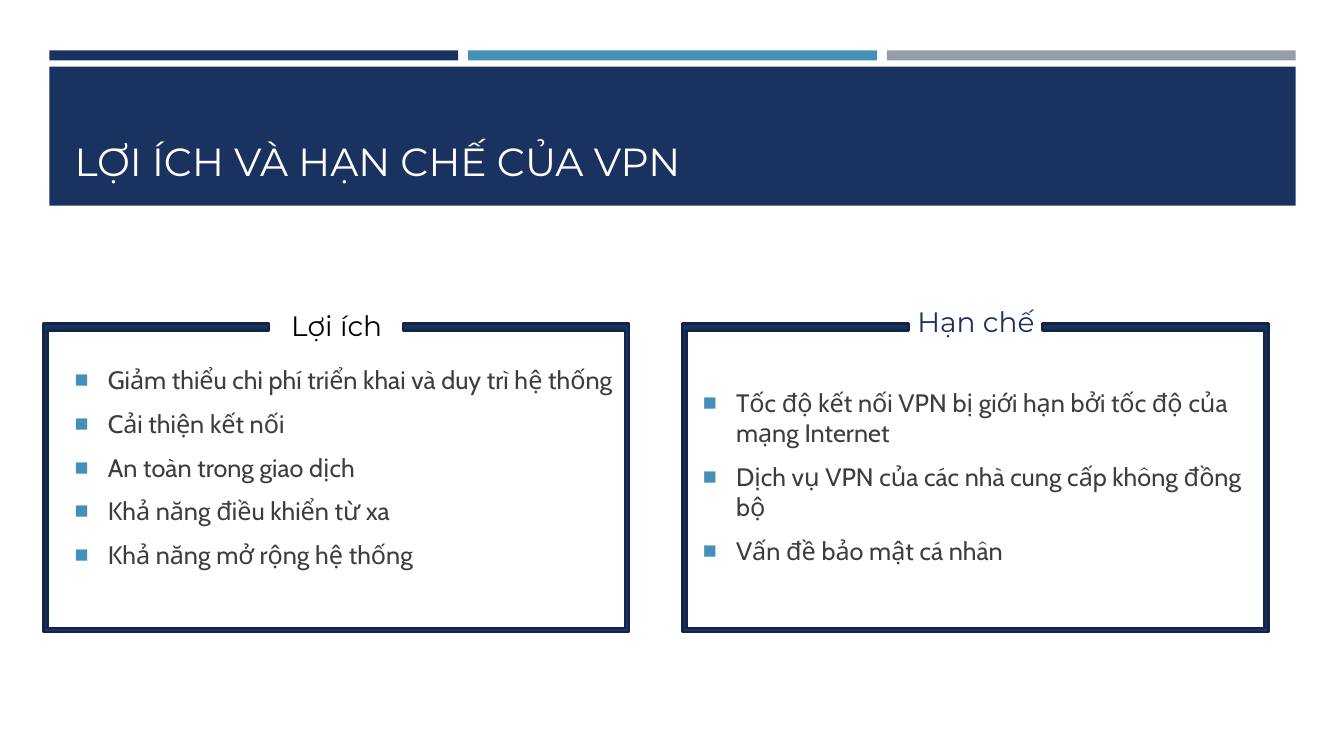
from lxml import etree
from pptx import Presentation
from pptx import util as u
from pptx.dml.color import RGBColor
from pptx.enum import shapes, text
from pptx.oxml.ns import qn

NAVY, BLUE, GRAY = "1A3260", "4590B8", "969FA7"
EDGE, INK, WHITE, BLACK = "132547", "3D3D3D", "FFFFFF", "000000"
HEAD, BODY = "Montserrat", "Cabin"


def rgb(code):
    return RGBColor.from_string(code)


def place(shape, box):
    shape.left, shape.top, shape.width, shape.height = map(u.Inches, box)


def style(para, name, size, color):
    font = para.font
    font.name, font.size, font.bold = name, u.Pt(size), False
    font.color.rgb = rgb(color)


def bar(slide, box, color):
    rect = slide.shapes.add_shape(shapes.MSO_SHAPE.RECTANGLE, *map(u.Inches, box))
    rect.shadow.inherit = False
    rect.fill.solid()
    rect.fill.fore_color.rgb = rgb(color)
    rect.line.fill.background()


def banner(slide, box, words):
    """Three stripes over a band that holds the title."""
    x, y, w, h = box
    gap = 0.1
    wide = (w - 2 * gap) / 3
    for i, color in enumerate((NAVY, BLUE, GRAY)):
        bar(slide, (x + i * (wide + gap), y, wide, 0.1), color)
    bar(slide, (x, y + 0.16, w, h - 0.16), NAVY)
    title = slide.shapes.title
    slide.shapes.element.append(title.element)  # bring in front of the band
    place(title, (x + 0.15, y + 0.3, w - 0.3, 1.08))
    frame = title.text_frame
    frame.text = words
    frame.auto_size = text.MSO_AUTO_SIZE.NONE
    frame.vertical_anchor = text.MSO_ANCHOR.BOTTOM
    para = frame.paragraphs[0]
    para.alignment = text.PP_ALIGN.LEFT
    style(para, HEAD, 28, WHITE)


def bullet(para):
    props = para._p.get_or_add_pPr()
    props.set("marL", str(u.Inches(0.33)))
    props.set("indent", str(-u.Inches(0.33)))
    color = etree.SubElement(props, qn("a:buClr"))
    etree.SubElement(color, qn("a:srgbClr"), val=BLUE)
    etree.SubElement(props, qn("a:buSzPct"), val="92000")
    etree.SubElement(props, qn("a:buFont"), typeface="Arial")
    etree.SubElement(props, qn("a:buChar"), char="■")


def points(holder, box, items):
    place(holder, box)
    frame = holder.text_frame
    frame.text = "\n".join(items)
    frame.auto_size = text.MSO_AUTO_SIZE.NONE
    frame.vertical_anchor = text.MSO_ANCHOR.MIDDLE
    for i, para in enumerate(frame.paragraphs):
        bullet(para)
        para.space_before = u.Pt(3.6 if i else 0)
        para.space_after = u.Pt(6)
        style(para, BODY, 18, INK)


def border(slide, box):
    """A thin frame, open in the middle of its top side."""
    x, y, w, h = box
    arm, side, top = 2.24, 0.04, 0.07
    spots = [
        (0, 0), (arm, 0), (arm, top), (side, top), (side, h - side),
        (w - side, h - side), (w - side, top), (w - arm, top),
        (w - arm, 0), (w, 0), (w, h), (0, h),
    ]
    dots = [(u.Inches(x + a), u.Inches(y + b)) for a, b in spots]
    pen = slide.shapes.build_freeform(*dots[0])
    pen.add_line_segments(dots[1:])
    shape = pen.convert_to_shape()
    shape.shadow.inherit = False
    shape.fill.solid()
    shape.fill.fore_color.rgb = rgb(NAVY)
    shape.line.color.rgb = rgb(EDGE)
    shape.line.width = u.Pt(1.75)


def label(slide, box, words, color):
    frame = slide.shapes.add_textbox(*map(u.Inches, box)).text_frame
    frame.word_wrap = True
    frame.auto_size = text.MSO_AUTO_SIZE.SHAPE_TO_FIT_TEXT
    frame.text = words
    para = frame.paragraphs[0]
    para.alignment = text.PP_ALIGN.CENTER
    style(para, HEAD, 20, color)


def panel(slide, box, holder, area, items, tag, spot, color):
    """A bordered list; area and spot are offsets from the box corner."""
    x, y = box[:2]
    points(holder, (x + area[0], y + area[1], area[2], 3.55), items)
    border(slide, box)
    label(slide, (x + spot[0], y + spot[1], 1.66, 0.44), tag, color)


def main():
    deck = Presentation()
    deck.slide_width, deck.slide_height = u.Inches(13.33), u.Inches(7.5)
    slide = deck.slides.add_slide(deck.slide_layouts[3])
    banner(slide, (0.49, 0.5, 12.36, 1.54), "LỢI ÍCH VÀ HẠN CHẾ CỦA VPN")
    pros = [
        "Giảm thiểu chi phí triển khai và duy trì hệ thống",
        "Cải thiện kết nối",
        "An toàn trong giao dịch",
        "Khả năng điều khiển từ xa",
        "Khả năng mở rộng hệ thống",
    ]
    cons = [
        "Tốc độ kết nối VPN bị giới hạn bởi tốc độ của mạng Internet",
        "Dịch vụ VPN của các nhà cung cấp không đồng bộ",
        "Vấn đề bảo mật cá nhân",
    ]
    left, right = slide.placeholders[1], slide.placeholders[2]
    panel(slide, (0.43, 3.21, 5.81, 3.06), left, (0.21, -0.35, 5.93), pros,
          "Lợi ích", (2.08, -0.2), BLACK)
    panel(slide, (6.77, 3.21, 5.81, 3.06), right, (0.1, -0.26, 5.61), cons,
          "Hạn chế", (2.08, -0.24), NAVY)
    deck.save("out.pptx")


if __name__ == "__main__":
    main()
